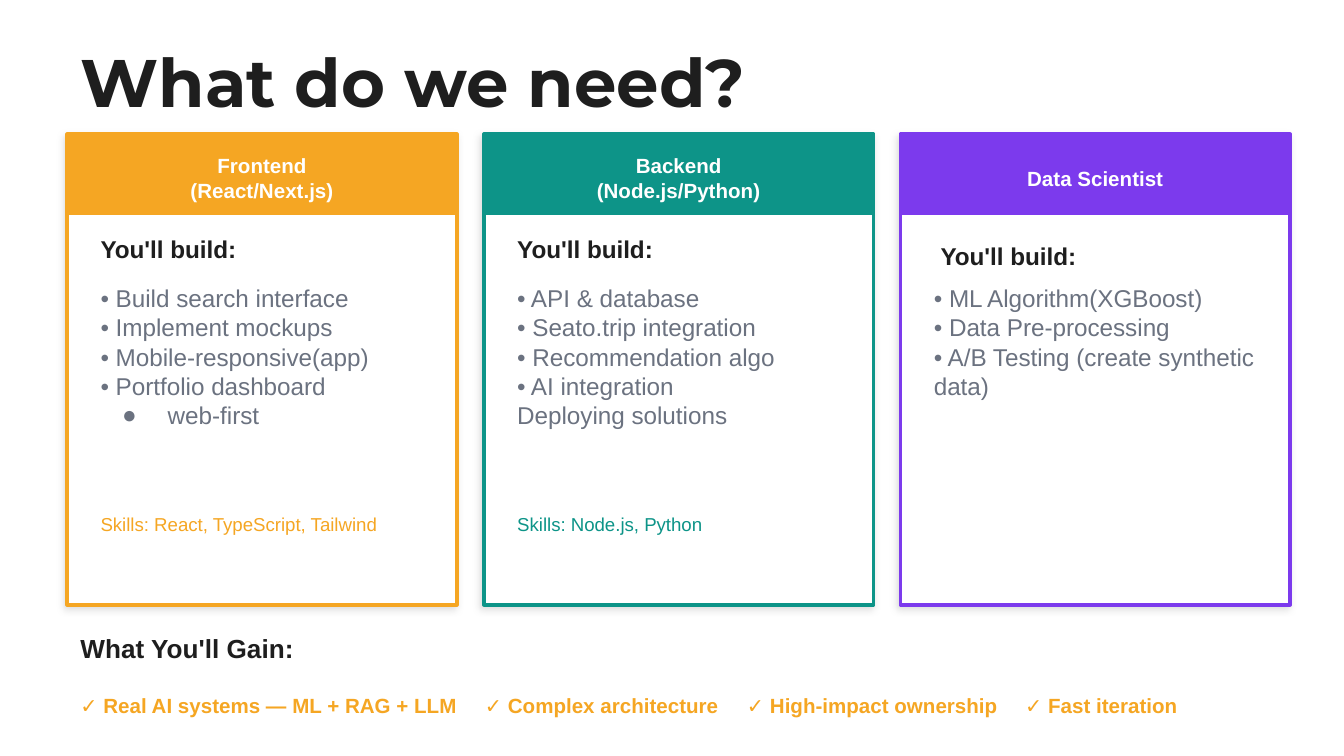
from dataclasses import dataclass

from lxml.etree import SubElement
from pptx import Presentation
from pptx.dml.color import RGBColor
from pptx.enum.shapes import MSO_SHAPE
from pptx.enum.text import MSO_ANCHOR, MSO_AUTO_SIZE, PP_ALIGN
from pptx.oxml.ns import qn
from pptx.util import Inches, Pt


@dataclass(frozen=True)
class Theme:
    ink: str = "1E1E1E"
    muted: str = "6B7280"
    white: str = "FFFFFF"
    orange: str = "F5A623"
    teal: str = "0D9488"
    violet: str = "7C3AED"
    shadow: str = "000000"
    heading_font: str = "Montserrat"
    body_font: str = "Arial"
    title: int = 36
    gain: int = 14
    body: int = 13
    label: int = 11
    skills: int = 10


theme = Theme()


def write(holder, text, size, color, bold=False, font=theme.body_font,
          align=PP_ALIGN.LEFT, anchor=MSO_ANCHOR.MIDDLE):
    frame = holder.text_frame
    frame.text = text
    frame.word_wrap = True
    frame.auto_size = MSO_AUTO_SIZE.NONE
    frame.vertical_anchor = anchor
    for paragraph in frame.paragraphs:
        paragraph.alignment = align
        for run in paragraph.runs:
            run.font.name = font
            run.font.size = Pt(size)
            run.font.bold = bold
            run.font.color.rgb = RGBColor.from_string(color)
    return frame


def place(left, top, width, height):
    return Inches(left), Inches(top), Inches(width), Inches(height)


deck = Presentation()
deck.slide_width, deck.slide_height = Inches(10), Inches(10 * 9 / 16)
slide = deck.slides.add_slide(deck.slide_layouts[5])
shapes = slide.shapes

title = shapes.title
title.left, title.top, title.width, title.height = place(0.5, 0.3, 9, 0.6)
write(title, "What do we need?", theme.title, theme.ink, True, theme.heading_font)

roles = [
    (theme.orange, "Frontend\n(React/Next.js)", (0.15, 1.7),
     ["• Build search interface", "• Implement mockups", "• Mobile-responsive(app)",
      "• Portfolio dashboard", "web-first"],
     "Skills: React, TypeScript, Tailwind"),
    (theme.teal, "Backend\n(Node.js/Python)", (0.15, 1.7),
     ["• API & database", "• Seato.trip integration", "• Recommendation algo",
      "• AI integration", "Deploying solutions"],
     "Skills: Node.js, Python"),
    (theme.violet, "Data Scientist", (0.2, 1.75),
     ["• ML Algorithm(XGBoost)", "• Data Pre-processing",
      "• A/B Testing (create synthetic data)"],
     None),
]

for column, (accent, role, (build_inset, build_top), tasks, skills) in enumerate(roles):
    left = 0.5 + column * 3.1

    card = shapes.add_shape(MSO_SHAPE.RECTANGLE, *place(left, 1, 2.9, 3.5))
    card.fill.solid()
    card.fill.fore_color.rgb = RGBColor.from_string(theme.white)
    card.line.color.rgb = RGBColor.from_string(accent)
    card.line.width = Pt(2)
    card.shadow.inherit = False
    effects = card._element.spPr.find(qn("a:effectLst"))
    shadow = SubElement(effects, qn("a:outerShdw"), blurRad=str(Pt(4)),
                        dist=str(Pt(2)), dir=str(135 * 60000), algn="bl",
                        rotWithShape="0")
    shadow_color = SubElement(shadow, qn("a:srgbClr"), val=theme.shadow)
    SubElement(shadow_color, qn("a:alpha"), val="12000")

    header = shapes.add_shape(MSO_SHAPE.RECTANGLE, *place(left, 1, 2.9, 0.6))
    header.fill.solid()
    header.fill.fore_color.rgb = RGBColor.from_string(accent)
    header.line.fill.background()
    header.shadow.inherit = False
    header_frame = write(header, role, theme.label, theme.white, True,
                         align=PP_ALIGN.CENTER)
    header_frame.margin_top = Inches(0.1)

    build = shapes.add_textbox(*place(left + build_inset, build_top, 2.6, 0.3))
    write(build, "You'll build:", theme.body, theme.ink, True)

    task_list = shapes.add_textbox(*place(left + 0.15, 1.95, 2.6, 1.4))
    task_frame = write(task_list, "\n".join(tasks), theme.body, theme.muted,
                       anchor=MSO_ANCHOR.TOP)
    task_frame.margin_top = Inches(0.16)
    for task in task_frame.paragraphs:
        if task.text == "web-first":
            properties = task._p.get_or_add_pPr()
            properties.set("marL", str(Inches(0.5)))
            properties.set("indent", str(Inches(-0.34)))
            bullet_color = SubElement(properties, qn("a:buClr"))
            SubElement(bullet_color, qn("a:srgbClr"), val=theme.muted)
            SubElement(properties, qn("a:buFont"), typeface=theme.body_font)
            SubElement(properties, qn("a:buChar"), char="●")

    if skills:
        skill_line = shapes.add_textbox(*place(left + 0.15, 3.5, 2.6, 0.8))
        write(skill_line, skills, theme.skills, accent)

gain_heading = shapes.add_textbox(*place(0.5, 4.65, 9, 0.35))
write(gain_heading, "What You'll Gain:", theme.gain, theme.ink, True)

gains = ["✓ Real AI systems — ML + RAG + LLM", "✓ Complex architecture",
         "✓ High-impact ownership", "✓ Fast iteration"]
gain_line = shapes.add_textbox(*place(0.5, 5, 9, 0.5))
gain_frame = write(gain_line, "\t".join(gains), theme.label, theme.orange, True)
tabs = SubElement(gain_frame.paragraphs[0]._p.get_or_add_pPr(), qn("a:tabLst"))
for stop in (3.01, 4.96, 7.03):
    SubElement(tabs, qn("a:tab"), pos=str(Inches(stop)), algn="l")

deck.save("out.pptx")
